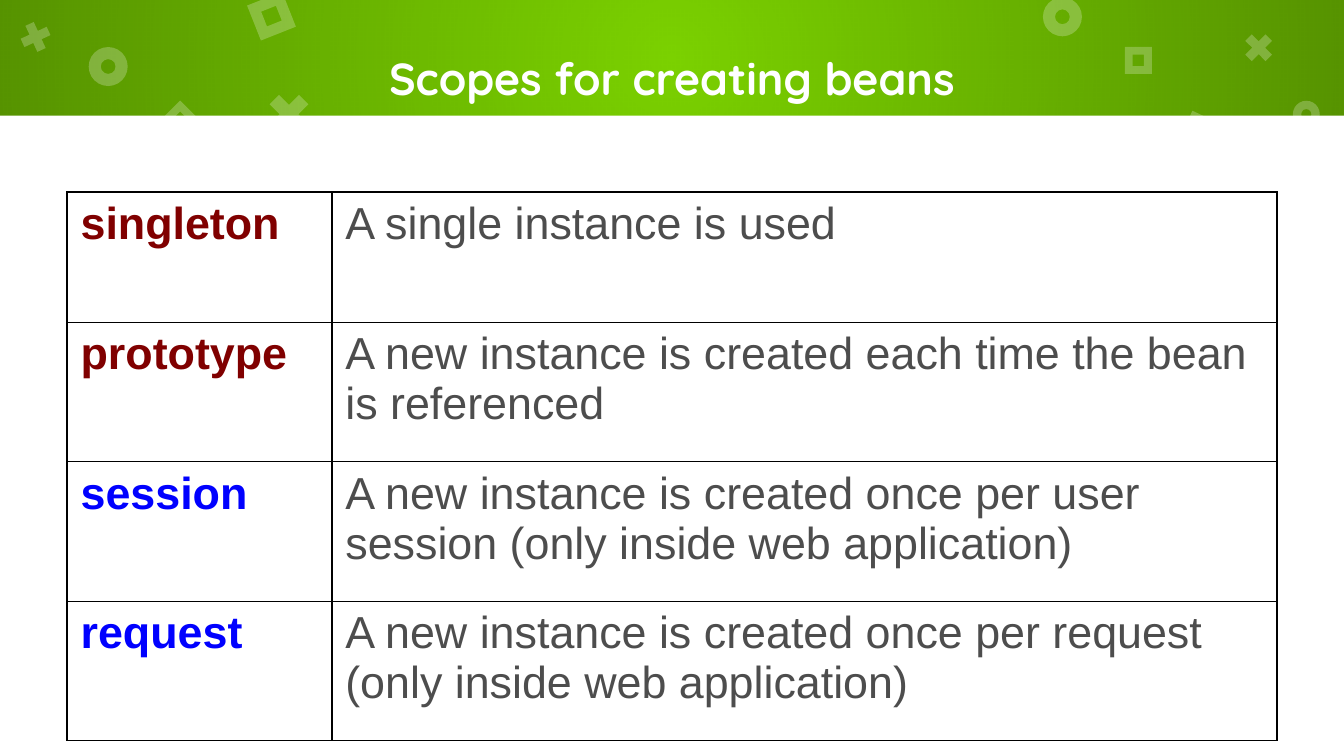
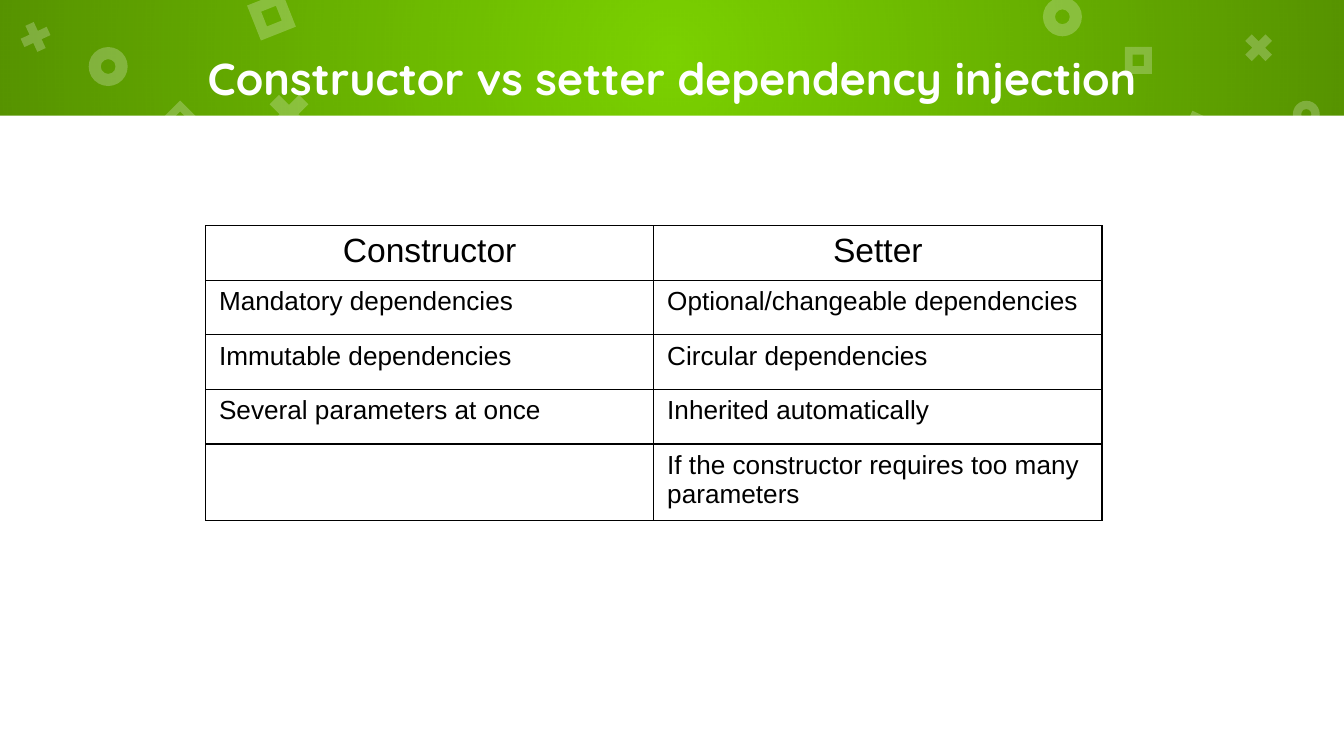
import pptx
import pptx.util
import pptx.dml.color
import pptx.enum.shapes
import pptx.enum.text
import pptx.oxml
import pptx.oxml.ns

Inches = pptx.util.Inches
Pt = pptx.util.Pt
Kind = pptx.enum.shapes.MSO_SHAPE
Align = pptx.enum.text.PP_ALIGN
Anchor = pptx.enum.text.MSO_ANCHOR

HUES = {
    "green": "7BD100", "white": "FFFFFF", "black": "000000",
    "maroon": "800000", "blue": "0000FF", "gray": "4D4D4D",
}
WIDE, BAND = 10, 0.86
HIGH = WIDE * 9 / 16
SPACE = 'xmlns:a="http://schemas.openxmlformats.org/drawingml/2006/main"'

SCOPES = [
    ("singleton", "A single instance is used", "maroon"),
    ("prototype", "A new instance is created each time the bean is referenced", "maroon"),
    ("session", "A new instance is created once per user session (only inside web application)", "blue"),
    ("request", "A new instance is created once per request (only inside web application)", "blue"),
]
STYLES = [
    ("Constructor", "Setter"),
    ("Mandatory dependencies", "Optional/changeable dependencies"),
    ("Immutable dependencies", "Circular dependencies"),
    ("Several parameters at once", "Inherited automatically"),
    ("", "If the constructor requires too many parameters"),
]

CUTS = {Kind.DONUT: 0.31, Kind.MATH_MULTIPLY: 0.235, Kind.FRAME: 0.289}
MARKS = [
    (Kind.DONUT, 0.66, 0.35, 0.29, 0),
    (Kind.MATH_MULTIPLY, 1.94, 0.64, 0.42, 0),
    (Kind.FRAME, 1.88, -0.02, 0.28, 338.4),
    (Kind.DONUT, 7.76, -0.02, 0.29, 0),
    (Kind.FRAME, 8.8, 0.87, 0.28, 25),
    (Kind.MATH_MULTIPLY, 0.12, 0.13, 0.29, 20.4),
    (Kind.FRAME, 1.24, 0.79, 0.2, 45),
    (Kind.DONUT, 9.62, 0.75, 0.2, 0),
    (Kind.MATH_MULTIPLY, 9.22, 0.21, 0.29, 0),
    (Kind.FRAME, 8.37, 0.35, 0.2, 0),
]


def tint(name):
    return pptx.dml.color.RGBColor.from_string(HUES[name])


def node(text):
    return pptx.oxml.parse_xml(text)


def style(para, font, size, hue, bold=False):
    for run in para.runs:
        run.font.name = font
        run.font.size = Pt(size)
        run.font.bold = bold
        run.font.color.rgb = tint(hue)


def shape(slide, kind, x, y, w, h, hue=None):
    item = slide.shapes.add_shape(kind, Inches(x), Inches(y), Inches(w), Inches(h))
    item.shadow.inherit = False
    item.line.fill.background()
    if hue:
        item.fill.solid()
        item.fill.fore_color.rgb = tint(hue)
    return item


def shade(item):
    stops = "".join(
        f'<a:gs pos="{pos}"><a:srgbClr val="{HUES["black"]}">'
        f'<a:alpha val="{alpha}"/></a:srgbClr></a:gs>'
        for pos, alpha in [(0, 0), (100000, 30000)])
    grad = node(
        f'<a:gradFill {SPACE} rotWithShape="1"><a:gsLst>{stops}</a:gsLst>'
        '<a:path path="circle"><a:fillToRect l="50000" t="50000" r="50000" b="50000"/>'
        '</a:path></a:gradFill>')
    item._element.spPr.insert(2, grad)


def frame(deck, title):
    slide = deck.slides.add_slide(deck.slide_layouts[6])
    slide.background.fill.solid()
    slide.background.fill.fore_color.rgb = tint("green")
    shade(shape(slide, Kind.RECTANGLE, 0, 0, WIDE, BAND))
    shape(slide, Kind.RECTANGLE, 0, BAND, WIDE, HIGH - BAND, "white")
    for kind, x, y, size, turn in MARKS:
        mark = shape(slide, kind, x, y, size, size, "white")
        mark.adjustments[0] = CUTS[kind]
        mark.rotation = turn
        color = mark._element.spPr.find(".//" + pptx.oxml.ns.qn("a:srgbClr"))
        color.append(node(f'<a:alpha {SPACE} val="24000"/>'))
    box = slide.shapes.add_textbox(Inches(0.95), 0, Inches(8.1), Inches(1.16))
    text = box.text_frame
    text.word_wrap = True
    text.vertical_anchor = Anchor.MIDDLE
    text.margin_left = text.margin_right = Inches(0.1)
    text.margin_top = text.margin_bottom = Inches(0.1)
    text.text = title
    text.paragraphs[0].alignment = Align.CENTER
    style(text.paragraphs[0], "Quicksand", 24, "white", True)
    return slide


def edge(cell, widths):
    props = cell._tc.get_or_add_tcPr()
    for at, (side, width) in enumerate(widths.items()):
        props.insert(at, node(
            f'<a:ln{side} {SPACE} w="{Pt(width)}"><a:solidFill>'
            f'<a:srgbClr val="{HUES["black"]}"/></a:solidFill></a:ln{side}>'))


def grid(slide, rows, x, y, cols, highs, tall, outer, inner):
    item = slide.shapes.add_table(
        len(rows), len(cols), Inches(x), Inches(y), Inches(sum(cols)), Inches(tall))
    table = item.table
    table.first_row = table.horz_banding = False
    for col, width in zip(table.columns, cols):
        col.width = Inches(width)
    for row, high in zip(table.rows, highs):
        row.height = Inches(high)
    item.height = Inches(tall)
    for r, row in enumerate(rows):
        for c, text in enumerate(row):
            cell = table.cell(r, c)
            if text:
                cell.text_frame.text = text
            cell.fill.background()
            edge(cell, {
                "L": inner if c else outer,
                "R": outer if c == len(cols) - 1 else inner,
                "T": inner if r else outer,
                "B": outer if r == len(rows) - 1 else inner,
            })
    return table


deck = pptx.Presentation()
deck.slide_width, deck.slide_height = Inches(WIDE), Inches(HIGH)

slide = frame(deck, "Scopes for creating beans")
table = grid(slide, [row[:2] for row in SCOPES], 0.5, 1.43,
             [1.97, 7.03], [0.97] + [3.11 / 3] * 3, 4.08, 1, 0.75)
for r, (name, note, hue) in enumerate(SCOPES):
    for c, color in enumerate([hue, "gray"]):
        para = table.cell(r, c).text_frame.paragraphs[0]
        para.space_before = Pt(6)
        style(para, "Arial", 24, color, c == 0)

slide = frame(deck, "Constructor vs setter dependency injection")
table = grid(slide, STYLES, 1.53, 1.68, [6.67 / 2] * 2,
             [2.03 / len(STYLES)] * len(STYLES), 2.19, 0.75, 0.75)
for r in range(len(STYLES)):
    for cell in table.rows[r].cells:
        para = cell.text_frame.paragraphs[0]
        style(para, "Arial", 14 if r else 18, "black")
        if r == 0:
            para.alignment = Align.CENTER

deck.save("out.pptx")
